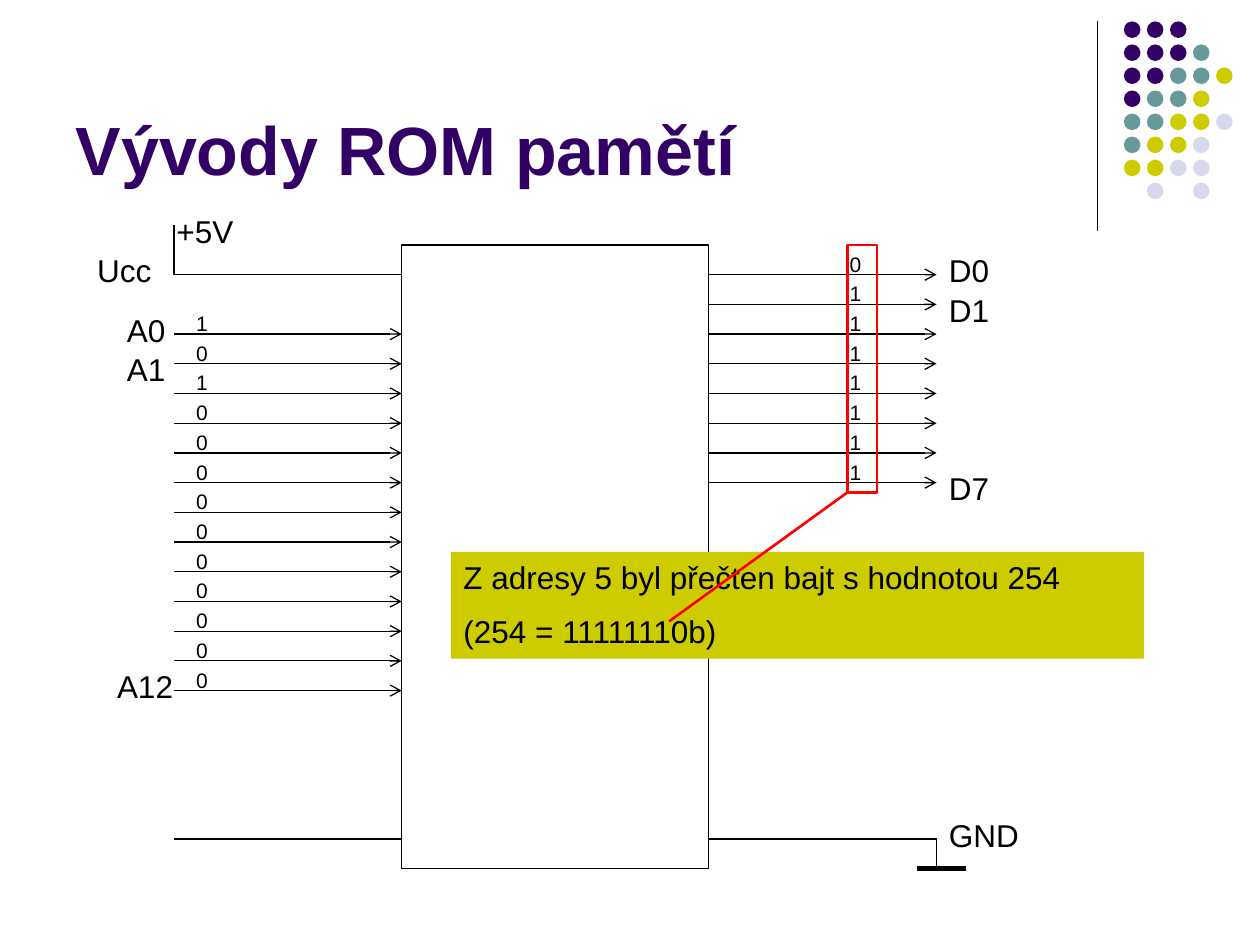
"""Build the slide that shows the pins of a ROM memory."""
from dataclasses import dataclass
from typing import Optional

from lxml.etree import SubElement
from pptx import Presentation
from pptx.dml.color import RGBColor
from pptx.enum.shapes import MSO_CONNECTOR, MSO_SHAPE
from pptx.enum.text import MSO_ANCHOR, PP_ALIGN
from pptx.oxml.ns import qn
from pptx.util import Inches, Pt


@dataclass(frozen=True)
class Theme:
    """Colours, font and sizes of the slide."""
    font: str = "Arial"
    ink: str = "000000"
    purple: str = "330066"
    teal: str = "669999"
    olive: str = "CCCC00"
    lilac: str = "D8D8EC"
    red: str = "FF0000"
    title_size: float = 39
    label_size: float = 18
    bit_size: float = 12
    thin: float = 0.75
    medium: float = 1.5
    thick: float = 2.75


@dataclass(frozen=True)
class Grid:
    """Equal columns and rows, measured in inches from an origin."""
    left: float
    top: float
    pitch: float

    def x(self, column: float) -> int:
        """Return the horizontal place of a column."""
        return Inches(self.left + column * self.pitch)

    def y(self, row: float) -> int:
        """Return the vertical place of a row."""
        return Inches(self.top + row * self.pitch)

    def size(self, cells: float) -> int:
        """Return the length of a number of cells."""
        return Inches(cells * self.pitch)


@dataclass(frozen=True)
class Wire:
    """A line between two grid points."""
    column: float
    row: float
    end_column: float
    end_row: float
    arrow: bool = False
    color: str = Theme.ink
    width: float = Theme.thin


@dataclass(frozen=True)
class Label:
    """A text at a grid point."""
    text: str
    column: float
    row: float
    width: float = 3.33
    size: float = Theme.label_size


@dataclass(frozen=True)
class Block:
    """A preset shape on a grid."""
    column: float
    row: float
    width: float
    height: float
    fill: Optional[str] = None
    line: Optional[str] = None
    line_width: float = Theme.thin
    kind: MSO_SHAPE = MSO_SHAPE.RECTANGLE


THEME = Theme()
PINS = Grid(left=1.38, top=2.18, pitch=(6.66 - 2.18) / 19)
DOTS = Grid(left=8.92, top=0.17, pitch=1.28 / 7)
LEFT_END, CHIP_LEFT, CHIP_RIGHT, RIGHT_END = 0, 7.67, 18, 25.67
ADDRESS_ROW, LAST_ROW, CHIP_BOTTOM = 2, 19, 20
ADDRESS_BITS = "1010000000000"
DATA_BITS = "01111111"
DOT_COLORS = {"P": THEME.purple, "T": THEME.teal, "O": THEME.olive, "L": THEME.lilac}
DOT_ROWS = ("PPP", "PPPT", "PPTTO", "PTTO", "TTOOL", "TOOL", "OOLL", "-L-L")

LABELS = (
    Label("Ucc", -3, -1), Label("GND", RIGHT_END, 18, 4), Label("+5V", -0.33, -2.33),
    Label("A0", -2, 1), Label("A1", -2, 2.33), Label("A12", -2.33, 13),
    Label("D0", RIGHT_END, -1), Label("D1", RIGHT_END, 0.33), Label("D7", RIGHT_END, 6.33),
)


def write_text(shape, text: str, *, size: float, color: str = THEME.ink, bold: bool = False,
               anchor: MSO_ANCHOR = MSO_ANCHOR.TOP, gap: float = 0) -> None:
    """Write left-aligned text, one paragraph per line, into a shape."""
    frame = shape.text_frame
    frame.text = text
    frame.word_wrap = True
    frame.vertical_anchor = anchor
    for index, paragraph in enumerate(frame.paragraphs):
        paragraph.alignment = PP_ALIGN.LEFT
        paragraph.space_before = Pt(gap if index else 0)
        font = paragraph.runs[0].font
        font.name, font.size, font.bold = THEME.font, Pt(size), bold
        font.color.rgb = RGBColor.from_string(color)


def draw_wire(slide, wire: Wire, grid: Grid = PINS) -> None:
    """Draw a straight line, with an arrowhead when asked."""
    connector = slide.shapes.add_connector(
        MSO_CONNECTOR.STRAIGHT, grid.x(wire.column), grid.y(wire.row),
        grid.x(wire.end_column), grid.y(wire.end_row))
    connector.line.color.rgb = RGBColor.from_string(wire.color)
    connector.line.width = Pt(wire.width)
    if wire.arrow:
        SubElement(connector.line._get_or_add_ln(), qn("a:tailEnd"), type="arrow")
    SubElement(connector._element.spPr, qn("a:effectLst"))


def draw_block(slide, block: Block, grid: Grid = PINS):
    """Draw a preset shape and return it."""
    shape = slide.shapes.add_shape(
        block.kind, grid.x(block.column), grid.y(block.row),
        grid.size(block.width), grid.size(block.height))
    shape.shadow.inherit = False
    for paint, color in ((shape.fill, block.fill), (shape.line.fill, block.line)):
        if color:
            paint.solid()
            paint.fore_color.rgb = RGBColor.from_string(color)
        else:
            paint.background()
    if block.line:
        shape.line.width = Pt(block.line_width)
    return shape


def draw_label(slide, label: Label) -> None:
    """Draw a text box on the pin grid."""
    box = slide.shapes.add_textbox(
        PINS.x(label.column), PINS.y(label.row), PINS.size(label.width),
        Pt(label.size * 1.2) + Inches(0.1))
    write_text(box, label.text, size=label.size)


def draw_ornament(slide) -> None:
    """Draw the corner rule and its field of dots."""
    draw_wire(slide, Wire(-1.15, 0, -1.15, 9.08), DOTS)
    for row, codes in enumerate(DOT_ROWS):
        for column, code in enumerate(codes):
            if code in DOT_COLORS:
                draw_block(slide, Block(column, row, 0.72, 0.72, DOT_COLORS[code],
                                        kind=MSO_SHAPE.OVAL), DOTS)


def draw_bus(slide, bits: str, first_row: int, start: float, end: float, bit_column: float) -> None:
    """Draw one arrow and one bit value per pin."""
    for row, bit in enumerate(bits, first_row):
        draw_wire(slide, Wire(start, row, end, row, arrow=True))
        draw_label(slide, Label(bit, bit_column, row - 1, 1.33, THEME.bit_size))


def main() -> None:
    """Build and save the presentation."""
    presentation = Presentation()
    presentation.slide_width, presentation.slide_height = Inches(10), Inches(7.5)
    slide = presentation.slides.add_slide(presentation.slide_layouts[5])
    draw_ornament(slide)
    title = slide.shapes.title
    title.left, title.top, title.width, title.height = map(Inches, (0.5, 0.13, 8.25, 1.42))
    write_text(title, "Vývody ROM pamětí", size=THEME.title_size, color=THEME.purple,
               bold=True, anchor=MSO_ANCHOR.BOTTOM)

    draw_block(slide, Block(CHIP_LEFT, -1, CHIP_RIGHT - CHIP_LEFT, CHIP_BOTTOM + 1, line=THEME.ink))
    for wire in (
        Wire(LEFT_END, 0, CHIP_LEFT, 0),
        Wire(LEFT_END, -1.67, LEFT_END, 0),
        Wire(LEFT_END, LAST_ROW, CHIP_LEFT, LAST_ROW),
        Wire(CHIP_RIGHT, LAST_ROW, RIGHT_END, LAST_ROW),
        Wire(RIGHT_END, LAST_ROW, RIGHT_END, CHIP_BOTTOM),
        Wire(25, CHIP_BOTTOM, 26.67, CHIP_BOTTOM, width=THEME.thick),
    ):
        draw_wire(slide, wire)
    draw_bus(slide, ADDRESS_BITS, ADDRESS_ROW, LEFT_END, CHIP_LEFT, 0.33)
    draw_bus(slide, DATA_BITS, 0, CHIP_RIGHT, RIGHT_END, 22.33)
    for label in LABELS:
        draw_label(slide, label)

    callout = draw_block(slide, Block(9.33, 9.33, 23.33, 3.6, fill=THEME.olive))
    write_text(callout, "Z adresy 5 byl přečten bajt s hodnotou 254\n(254 = 11111110b)",
               size=THEME.label_size, gap=THEME.label_size / 2)
    draw_block(slide, Block(22.67, -1, 1, 8.33, line=THEME.red, line_width=THEME.medium))
    draw_wire(slide, Wire(22.67, 7.33, 16.67, 11.67, color=THEME.red, width=THEME.medium))
    presentation.save("out.pptx")


main()
